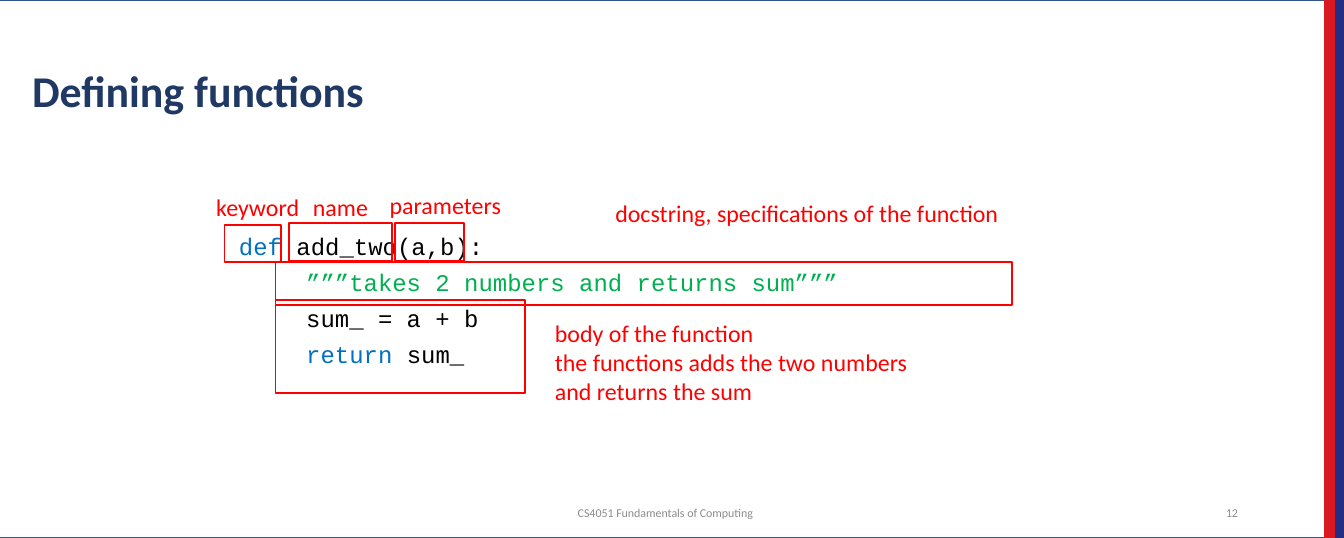
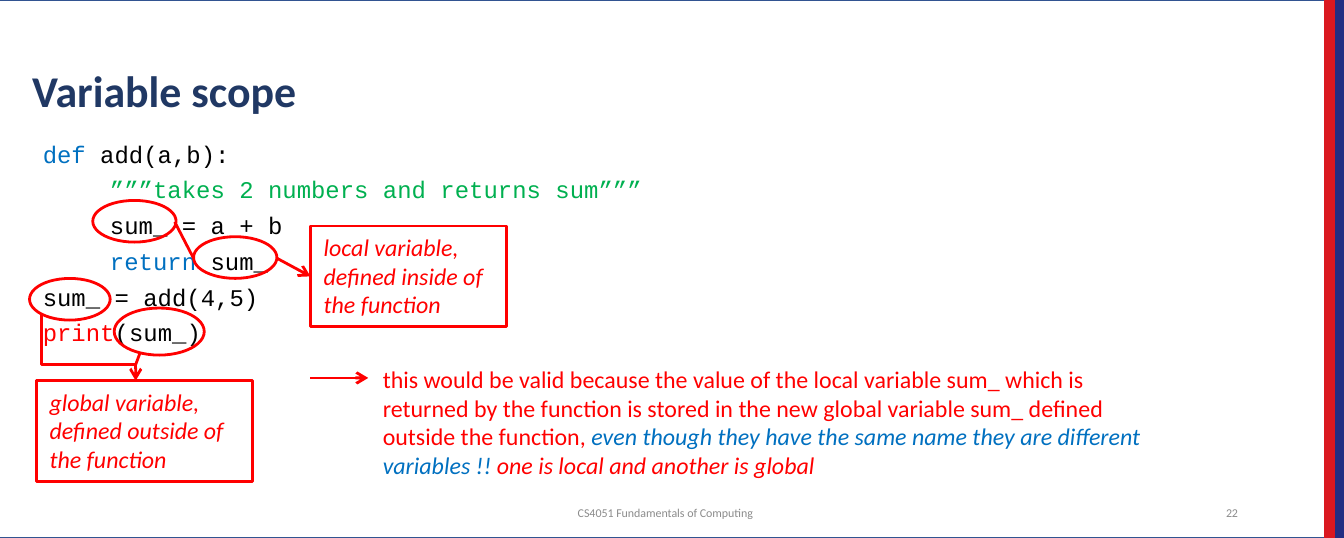
from pptx import Presentation
from pptx.dml.color import RGBColor
from pptx.enum.shapes import MSO_CONNECTOR, MSO_SHAPE
from pptx.enum.text import MSO_ANCHOR, PP_ALIGN
from pptx.oxml.ns import qn
from pptx.util import Inches, Pt
from lxml.etree import SubElement

RED, BLUE, GREEN, BLACK = "FF0000", "0070C0", "00B050", "000000"
NAVY, GREY, WHITE = "203864", "8C8C8C", "FFFFFF"
SANS, MONO = "Calibri", "Courier New"
SIZE = 12.8
DOC = [("\t", BLACK), ("”””takes 2 numbers and returns sum”””", GREEN)]
SUM = [("\tsum_ = a + b", BLACK)]
BACK = [("\t", BLACK), ("return", BLUE), (" sum_", BLACK)]


def rgb(code):
    """Turn a hex string into a colour."""
    return RGBColor.from_string(code)


def add_run(para, text, color=RED, size=SIZE, font=SANS, bold=False, ital=False):
    """Add one styled run to a paragraph."""
    run = para.add_run()
    run.text = text
    face = run.font
    face.name, face.size, face.bold, face.italic = font, Pt(size), bold, ital
    face.color.rgb = rgb(color)


def add_text(slide, area, lines, anchor=MSO_ANCHOR.TOP, align=PP_ALIGN.LEFT, **style):
    """Add a wrapped text box with one paragraph per line."""
    frame = slide.shapes.add_textbox(*map(Inches, area)).text_frame
    frame.word_wrap = True
    frame.vertical_anchor = anchor
    for num, line in enumerate(lines):
        para = frame.add_paragraph() if num else frame.paragraphs[0]
        para.alignment = align
        add_run(para, line, **style)
    return frame


def add_code(slide, area, lines):
    """Add code lines, each a list of text and colour pairs."""
    frame = slide.shapes.add_textbox(*map(Inches, area)).text_frame
    frame.word_wrap = True
    for num, line in enumerate(lines):
        para = frame.add_paragraph() if num else frame.paragraphs[0]
        props = para._p.get_or_add_pPr()
        props.set("marL", str(Inches(0.07)))
        props.set("indent", "0")
        tabs = SubElement(props, qn("a:tabLst"))
        SubElement(tabs, qn("a:tab"), pos=str(Inches(0.53)), algn="l")
        para.alignment = PP_ALIGN.JUSTIFY
        para.line_spacing = 0.9
        para.space_before = Pt(5.3 if num else 0)
        for text, color in line:
            add_run(para, text, color, font=MONO)


def add_form(slide, kind, area, line=RED, width=1.5, fill=None):
    """Add an outlined preset shape, filled if a fill is given."""
    form = slide.shapes.add_shape(kind, *map(Inches, area))
    form.shadow.inherit = False
    form.line.color.rgb = rgb(line)
    form.line.width = Pt(width)
    if fill:
        form.fill.solid()
        form.fill.fore_color.rgb = rgb(fill)
    else:
        form.fill.background()
    return form


def add_note(slide, area, text):
    """Add a framed note in italics."""
    box = add_form(slide, MSO_SHAPE.RECTANGLE, area)
    frame = box.text_frame
    frame.word_wrap = True
    frame.vertical_anchor = MSO_ANCHOR.TOP
    para = frame.paragraphs[0]
    para.alignment = PP_ALIGN.LEFT
    add_run(para, text, ital=True)
    return box


def add_line(slide, ends, arrow=False, kind=MSO_CONNECTOR.STRAIGHT):
    """Add a red connector, with an arrowhead if asked."""
    line = slide.shapes.add_connector(kind, *map(Inches, ends))
    line.line.color.rgb = rgb(RED)
    line.line.width = Pt(1.5)
    if arrow:
        SubElement(line.line._get_or_add_ln(), qn("a:tailEnd"), type="arrow")
    SubElement(line._element.spPr, qn("a:effectLst"))
    return line


def add_bend(slide, ends, ratio):
    """Add an elbow arrow that runs down, across and down."""
    left, top, right, foot = ends
    midx, midy = (left + right) / 2, (top + foot) / 2
    halfw, halfh = (foot - top) / 2, (right - left) / 2
    area = (midx - halfw, midy - halfh, midx + halfw, midy + halfh)
    bend = add_line(slide, area, True, MSO_CONNECTOR.ELBOW)
    props = bend._element.spPr
    frame = props.find(qn("a:xfrm"))
    frame.set("rot", str(270 * 60000))
    frame.set("flipH", "1")
    guides = props.find(qn("a:prstGeom")).find(qn("a:avLst"))
    SubElement(guides, qn("a:gd"), name="adj1", fmla=f"val {round(ratio * 100000)}")


def add_page(deck, title, num):
    """Add a slide with its bands, title and footer."""
    slide = deck.slides.add_slide(deck.slide_layouts[6])
    for left, width, line, fill in (
        (-0.07, 9.93, "325491", WHITE),
        (9.93, 0.07, "232D82", "232D82"),
        (9.86, 0.07, "DA1820", "DA1820"),
    ):
        add_form(slide, MSO_SHAPE.RECTANGLE, (left, 0, width, 4), line, 1, fill)
    head = add_text(slide, (0.14, 0.15, 9.17, 0.77), [title], MSO_ANCHOR.BOTTOM,
                    color=NAVY, size=23.5, bold=True)
    head.paragraphs[0].line_spacing = 0.9
    for left, width, text, align in (
        (2.6, 4.7, "CS4051 Fundamentals of Computing", PP_ALIGN.CENTER),
        (8.75, 0.56, str(num), PP_ALIGN.RIGHT),
    ):
        add_text(slide, (left, 3.71, width, 0.21), [text], MSO_ANCHOR.MIDDLE,
                 align, color=GREY, size=6.4)
    return slide


def add_parts(deck):
    """Build the slide on the parts of a function."""
    slide = add_page(deck, "Defining functions", 12)
    first = [("def ", BLUE), ("add_two(a,b):", BLACK)]
    add_code(slide, (1.61, 1.7, 6.73, 2.13), [first, DOC, SUM, BACK])
    for frame, area, lines in (
        ((1.67, 1.67, 0.42, 0.28), (1.51, 1.38, 0.99, 0.32), ["keyword"]),
        ((2.15, 1.66, 0.77, 0.28), (2.23, 1.38, 0.65, 0.32), ["name"]),
        ((2.94, 1.66, 0.51, 0.28), (2.8, 1.37, 1.12, 0.32), ["parameters"]),
        ((2.05, 1.95, 5.48, 0.32), (4.48, 1.43, 3.2, 0.32),
         ["docstring, specifications of the function"]),
        ((2.05, 2.23, 1.86, 0.69), (4.03, 2.32, 2.89, 0.75),
         ["body of the function",
          "the functions adds the two numbers and returns the sum"]),
    ):
        add_form(slide, MSO_SHAPE.RECTANGLE, frame, width=1)
        add_text(slide, area, lines)


def add_scope(deck):
    """Build the slide on local and global variables."""
    slide = add_page(deck, "Variable scope", 22)
    first = [("def", BLUE), (" add(a,b):", BLACK)]
    call = [("sum_ = add(4,5)", BLACK)]
    show = [("print", RED), ("(sum_) ", BLACK)]
    add_code(slide, (0.15, 1.01, 9.17, 2.62), [first, DOC, SUM, BACK, call, show])
    frame = add_text(slide, (2.75, 2.66, 6, 1.18), [
        "this would be valid because the value of the local variable sum_ which is "
        "returned by the function is stored in the new global variable sum_ defined "
        "outside the function, "])
    para = frame.paragraphs[0]
    add_run(para, "even though they have the same name they are different variables !! ",
            BLUE, ital=True)
    add_run(para, "one is local and another is global", ital=True)
    add_line(slide, (2.31, 2.81, 2.74, 2.81), True)
    for area in (
        (1.44, 1.76, 0.62, 0.31),
        (0.69, 1.49, 0.62, 0.31),
        (0.22, 2.07, 0.6, 0.31),
        (0.85, 2.29, 0.67, 0.35),
    ):
        add_form(slide, MSO_SHAPE.OVAL, area)
    local = add_note(slide, (2.31, 1.68, 1.46, 0.75),
                     "local variable, defined inside of the function")
    add_note(slide, (0.27, 2.83, 1.61, 0.75),
             "global variable, defined outside of the function")
    add_line(slide, (1.3, 1.65, 1.44, 1.92))
    add_line(slide, (2.06, 1.92, 2.31, 2.05), True).end_connect(local, 1)
    add_bend(slide, (0.31, 2.34, 1.01, 2.83), 0.76)
    add_line(slide, (1.04, 2.63, 1.01, 2.71))


def main():
    """Build and save the deck."""
    deck = Presentation()
    deck.slide_width, deck.slide_height = Inches(10), Inches(4)
    add_parts(deck)
    add_scope(deck)
    deck.save("out.pptx")


if __name__ == "__main__":
    main()
